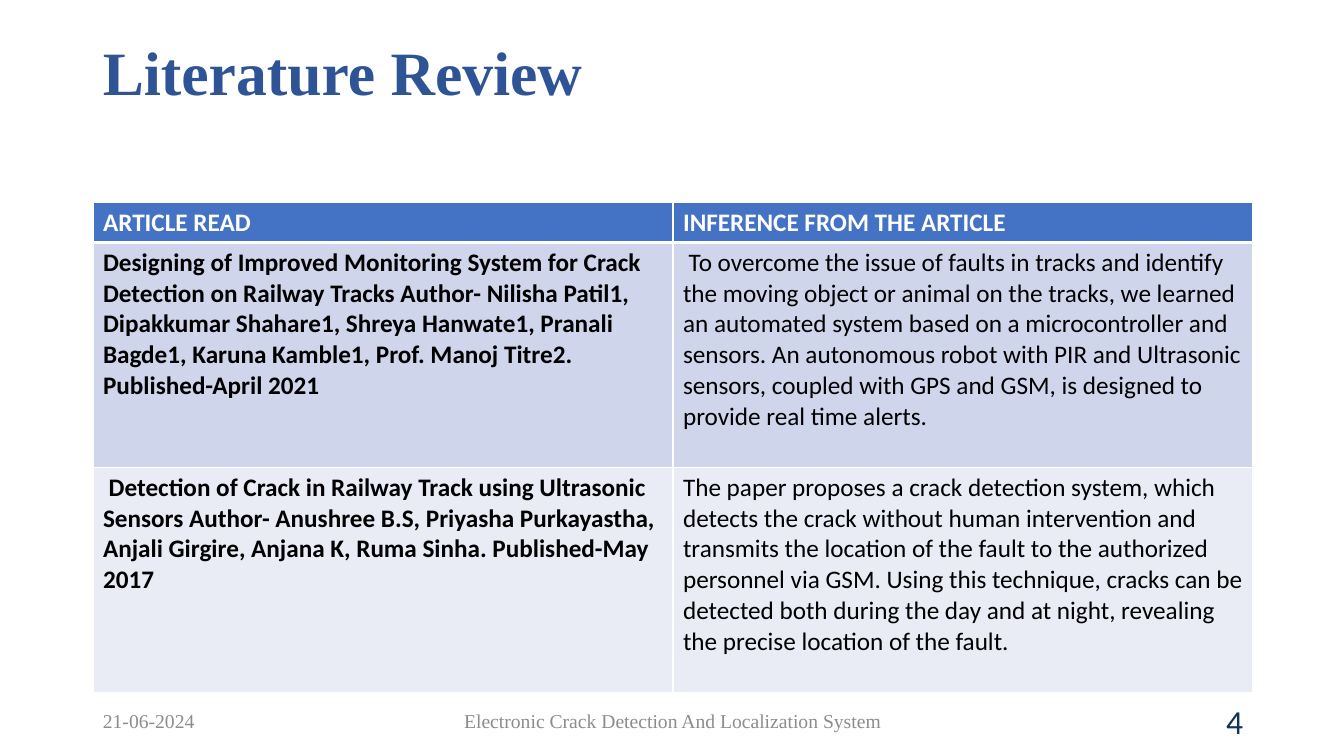
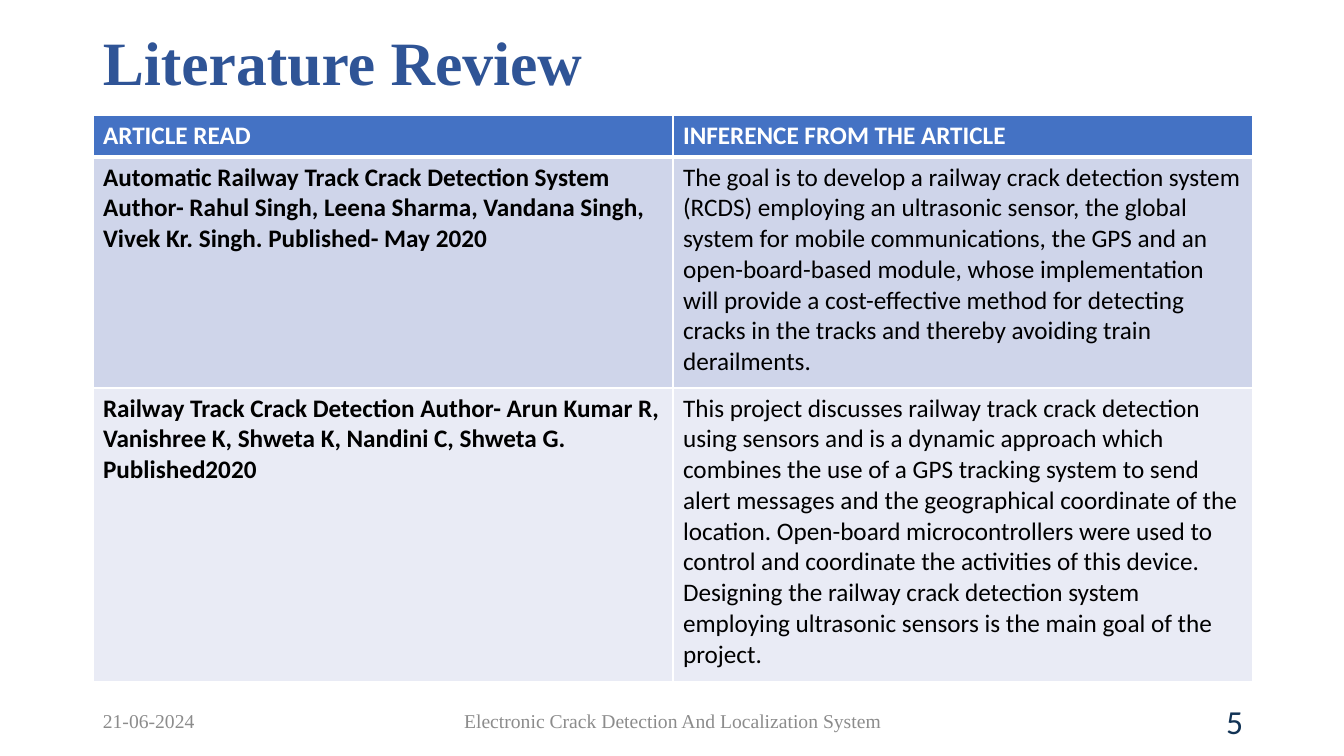
import pptx
import pptx.util
import pptx.dml.color
import pptx.enum.text
import lxml.etree

RGBColor = pptx.dml.color.RGBColor
ALIGN = pptx.enum.text.PP_ALIGN
ANCHOR = pptx.enum.text.MSO_ANCHOR
NS = "http://schemas.openxmlformats.org/drawingml/2006/main"

TITLE_BLUE = RGBColor(0x2F, 0x54, 0x96)
HEADER_BLUE = RGBColor(0x44, 0x72, 0xC4)
BAND_DARK = RGBColor(0xCF, 0xD5, 0xEA)
BAND_LIGHT = RGBColor(0xE9, 0xEB, 0xF5)
WHITE = RGBColor(0xFF, 0xFF, 0xFF)
BLACK = RGBColor(0, 0, 0)
GREY = RGBColor(0x8C, 0x8C, 0x8C)
NAVY = RGBColor(0x12, 0x33, 0x55)

SERIF, SANS = "Times New Roman", "Calibri"
TITLE = {"name": SERIF, "size": pptx.util.Pt(44), "bold": True, "color": TITLE_BLUE}
FOOTER = {"name": SERIF, "size": pptx.util.Pt(14), "color": GREY}
NUMBER = {"name": SANS, "size": pptx.util.Pt(24), "color": NAVY}
HEADER = {"name": SANS, "size": pptx.util.Pt(18), "bold": True, "color": WHITE}
ARTICLE = {**HEADER, "color": BLACK}
INFERENCE = {**ARTICLE, "bold": False}

PX = 914400 / 100.8
LEFT, COL_W = 93, 580
TABLE_W = 2 * COL_W
FOOTER_TOP, FOOTER_H, SIDE_W, MIDDLE_W = 701, 40, 302, 454

FILLS = [HEADER_BLUE, BAND_DARK, BAND_LIGHT]
HEADINGS = ("ARTICLE READ", "INFERENCE FROM THE ARTICLE")

SLIDES = [
    {
        "number": "4",
        "title_top": 10,
        "table_top": 202,
        "heights": [40, 225, 225],
        "articles": [
            (
                "Designing of Improved Monitoring System for Crack Detection on "
                "Railway Tracks Author- Nilisha Patil1, Dipakkumar Shahare1, "
                "Shreya Hanwate1, Pranali Bagde1, Karuna Kamble1, "
                "Prof. Manoj Titre2. Published-April 2021",
                " To overcome the issue of faults in tracks and identify the "
                "moving object or animal on the tracks, we learned an automated "
                "system based on a microcontroller and sensors. An autonomous "
                "robot with PIR and Ultrasonic sensors, coupled with GPS and "
                "GSM, is designed to provide real time alerts.",
            ),
            (
                " Detection of Crack in Railway Track using Ultrasonic Sensors "
                "Author- Anushree B.S, Priyasha Purkayastha, Anjali Girgire, "
                "Anjana K, Ruma Sinha. Published-May 2017",
                "The paper proposes a crack detection system, which detects the "
                "crack without human intervention and transmits the location of "
                "the fault to the authorized personnel via GSM. Using this "
                "technique, cracks can be detected both during the day and at "
                "night, revealing the precise location of the fault.",
            ),
        ],
    },
    {
        "number": "5",
        "title_top": 0,
        "table_top": 115,
        "heights": [42, 231, 294],
        "articles": [
            (
                "Automatic Railway Track Crack Detection System Author- Rahul "
                "Singh, Leena Sharma, Vandana Singh, Vivek Kr. Singh. "
                "Published- May 2020",
                "The goal is to develop a railway crack detection system (RCDS) "
                "employing an ultrasonic sensor, the global system for mobile "
                "communications, the GPS and an open-board-based module, whose "
                "implementation will provide a cost-effective method for "
                "detecting cracks in the tracks and thereby avoiding train "
                "derailments.",
            ),
            (
                "Railway Track Crack Detection Author- Arun Kumar R, Vanishree "
                "K, Shweta K, Nandini C, Shweta G. Published2020",
                "This project discusses railway track crack detection using "
                "sensors and is a dynamic approach which combines the use of a "
                "GPS tracking system to send alert messages and the geographical "
                "coordinate of the location. Open-board microcontrollers were used "
                "to control and coordinate the activities of this device. "
                "Designing the railway crack detection system employing "
                "ultrasonic sensors is the main goal of the project.",
            ),
        ],
    },
]


def px(*lengths):
    return [pptx.util.Emu(round(n * PX)) for n in lengths]


def write(tf, text, style, align=ALIGN.LEFT):
    tf.word_wrap = True
    p = tf.paragraphs[0]
    p.alignment = align
    r = p.add_run()
    r.text = text
    for key, value in style.items():
        if key == "color":
            r.font.color.rgb = value
        else:
            setattr(r.font, key, value)
    return p


prs = pptx.Presentation()
prs.slide_width, prs.slide_height = px(1344, 756)

for page in SLIDES:
    s = prs.slides.add_slide(prs.slide_layouts[6])

    right = LEFT + TABLE_W - SIDE_W
    middle = LEFT + (TABLE_W - MIDDLE_W) // 2
    boxes = [
        ("Literature Review", (LEFT, page["title_top"], TABLE_W, 132), TITLE, ALIGN.LEFT),
        ("21-06-2024", (LEFT, FOOTER_TOP, SIDE_W, FOOTER_H), FOOTER, ALIGN.LEFT),
        ("Electronic Crack Detection And Localization System",
         (middle, FOOTER_TOP, MIDDLE_W, FOOTER_H), FOOTER, ALIGN.CENTER),
        (page["number"], (right, FOOTER_TOP, SIDE_W, FOOTER_H), NUMBER, ALIGN.RIGHT),
    ]
    for text, place, style, align in boxes:
        tf = s.shapes.add_textbox(*px(*place)).text_frame
        tf.vertical_anchor = ANCHOR.MIDDLE
        p = write(tf, text, style, align)
        if style is TITLE:
            p.line_spacing = 0.9

    rows = [HEADINGS, *page["articles"]]
    place = px(LEFT, page["table_top"], TABLE_W, sum(page["heights"]))
    table = s.shapes.add_table(len(rows), 2, *place).table
    for column in table.columns:
        column.width = px(COL_W)[0]
    for i, row in enumerate(rows):
        table.rows[i].height = px(page["heights"][i])[0]
        styles = (ARTICLE, INFERENCE) if i else (HEADER, HEADER)
        widths = {"lnL": 1, "lnR": 1, "lnT": 3 if i == 1 else 1, "lnB": 1 if i else 3}
        for j, text in enumerate(row):
            cell = table.cell(i, j)
            cell.fill.solid()
            cell.fill.fore_color.rgb = FILLS[i]
            write(cell.text_frame, text, styles[j])
            tcPr = cell._tc.get_or_add_tcPr()
            for k, (side, width) in enumerate(widths.items()):
                ln = lxml.etree.Element(f"{{{NS}}}{side}", w=str(pptx.util.Pt(width)))
                fill = lxml.etree.SubElement(ln, f"{{{NS}}}solidFill")
                lxml.etree.SubElement(fill, f"{{{NS}}}srgbClr", val=str(WHITE))
                tcPr.insert(k, ln)

prs.save("out.pptx")
